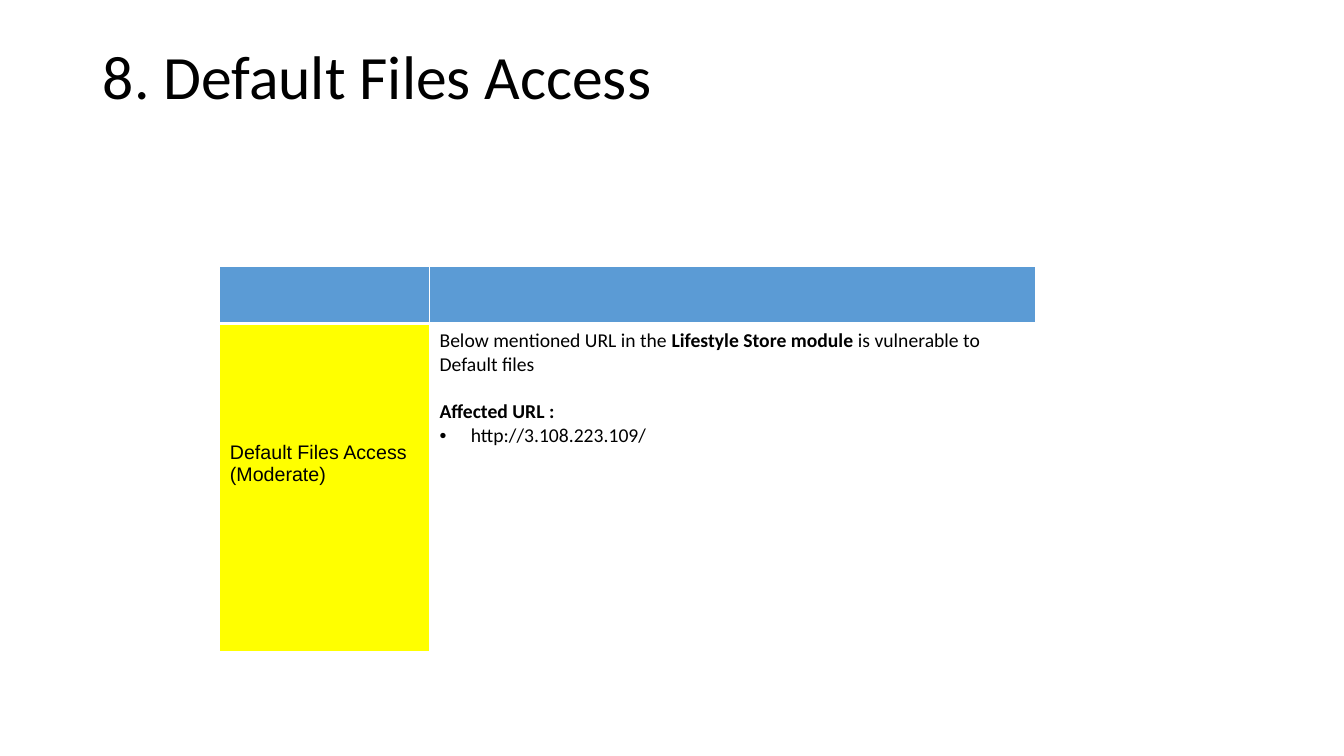
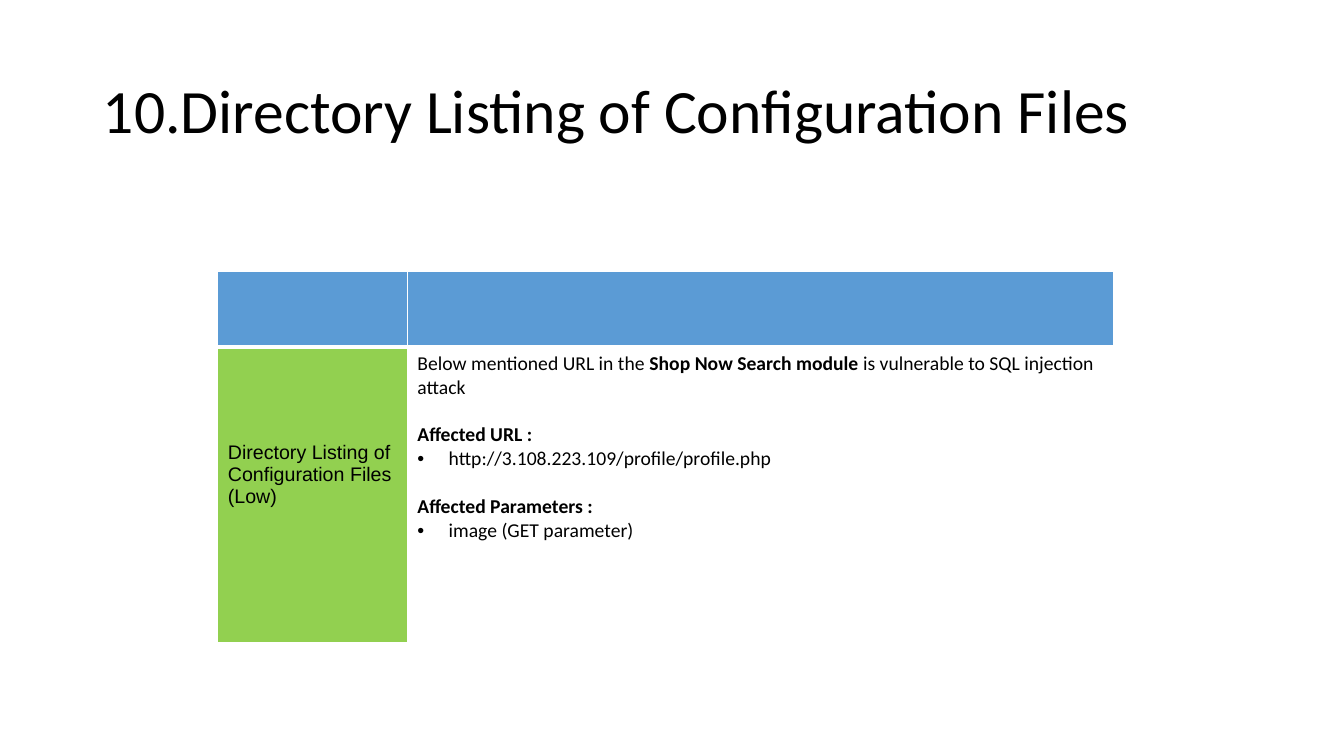
from dataclasses import dataclass

from lxml import etree
from pptx import Presentation
from pptx.dml.color import RGBColor
from pptx.enum import text
from pptx.oxml import ns
from pptx.util import Inches, Pt


@dataclass(frozen=True)
class Theme:
    """Colours, fonts and sizes shared by the slides."""
    ink: str = "000000"
    paper: str = "FFFFFF"
    header: str = "5B9BD5"
    moderate: str = "FFFF00"
    low: str = "92D050"
    body_font: str = "Calibri"
    label_font: str = "Arial"
    title_size: float = 44
    body_size: float = 14
    section_gap: float = 17
    thin: float = 1
    thick: float = 3


THEME = Theme()
TITLE_BOX = (0.92, 0.4, 11.5, 1.45)
BULLET_INDENT = 0.31

FINDINGS = [
    {
        "title": "8. Default Files Access",
        "title_bottom": 0.72,
        "origin": (2.18, 2.64),
        "columns": (2.08, 6.01),
        "rows": (0.57, 3.25),
        "label": ("Default Files Access", "(Moderate)"),
        "label_top": 1.17,
        "severity": THEME.moderate,
        "module": "Lifestyle Store module ",
        "risk": "is vulnerable to Default files",
        "sections": [("Affected URL :", "http://3.108.223.109/")],
    },
    {
        "title": "10.Directory Listing of Configuration Files",
        "title_bottom": 0.05,
        "origin": (2.16, 2.69),
        "columns": (1.88, 7.01),
        "rows": (0.75, 2.93),
        "label": ("Directory Listing of Configuration Files", "(Low)"),
        "label_top": 0.94,
        "severity": THEME.low,
        "module": "Shop Now Search module ",
        "risk": "is vulnerable to SQL injection attack",
        "sections": [
            ("Affected URL :", "http://3.108.223.109/profile/profile.php"),
            ("Affected Parameters :", "image (GET parameter)"),
        ],
    },
]


def add_run(paragraph, words, font=THEME.body_font, size=THEME.body_size, bold=False):
    """Append one formatted run to a paragraph."""
    run = paragraph.add_run()
    run.text = words
    run.font.name = font
    run.font.size = Pt(size)
    run.font.bold = bold
    run.font.color.rgb = RGBColor.from_string(THEME.ink)


def add_bullet(paragraph):
    """Give a paragraph a hanging round bullet."""
    properties = paragraph._p.get_or_add_pPr()
    properties.set("marL", str(Inches(BULLET_INDENT)))
    properties.set("indent", str(-Inches(BULLET_INDENT)))
    etree.SubElement(properties, ns.qn("a:buFont"), typeface=THEME.label_font)
    etree.SubElement(properties, ns.qn("a:buChar"), char="•")


def format_cell(cell, fill, top_width, bottom_width):
    """Set the white borders and the fill of a cell."""
    properties = cell._tc.get_or_add_tcPr()
    widths = {"L": THEME.thin, "R": THEME.thin, "T": top_width, "B": bottom_width}
    for side, width in widths.items():
        line = etree.SubElement(properties, ns.qn(f"a:ln{side}"), w=str(Pt(width)))
        solid = etree.SubElement(line, ns.qn("a:solidFill"))
        etree.SubElement(solid, ns.qn("a:srgbClr"), val=THEME.paper)
    if fill:
        cell.fill.solid()
        cell.fill.fore_color.rgb = RGBColor.from_string(fill)
    else:
        cell.fill.background()


def place_title(slide, box, words, bottom_inset):
    """Move and format the title placeholder."""
    title = slide.shapes.title
    title.left, title.top, title.width, title.height = map(Inches, box)
    frame = title.text_frame
    frame.word_wrap = True
    frame.auto_size = text.MSO_AUTO_SIZE.NONE
    frame.vertical_anchor = text.MSO_ANCHOR.MIDDLE
    frame.margin_left = frame.margin_right = Inches(0.1)
    frame.margin_top = Inches(0.05)
    frame.margin_bottom = Inches(bottom_inset)
    paragraph = frame.paragraphs[0]
    paragraph.alignment = text.PP_ALIGN.LEFT
    paragraph.line_spacing = 0.9
    add_run(paragraph, words, size=THEME.title_size)


def write_label(cell, lines, top_inset):
    """Write the finding's name and severity."""
    cell.margin_top = Inches(top_inset)
    frame = cell.text_frame
    for index, line in enumerate(lines):
        paragraph = frame.add_paragraph() if index else frame.paragraphs[0]
        add_run(paragraph, line, font=THEME.label_font)


def write_details(cell, module, risk, sections):
    """Write the summary sentence and its bulleted sections."""
    frame = cell.text_frame
    summary = frame.paragraphs[0]
    add_run(summary, "Below mentioned URL in the ")
    add_run(summary, module, bold=True)
    add_run(summary, risk)
    for heading, item in sections:
        paragraph = frame.add_paragraph()
        paragraph.space_before = Pt(THEME.section_gap)
        add_run(paragraph, heading, bold=True)
        paragraph = frame.add_paragraph()
        add_bullet(paragraph)
        add_run(paragraph, item)


def place_table(slide, finding):
    """Place the finding table at its origin."""
    columns, rows = finding["columns"], finding["rows"]
    box = (*finding["origin"], sum(columns), sum(rows))
    table = slide.shapes.add_table(len(rows), len(columns), *map(Inches, box)).table
    table.horz_banding = False
    for column, width in zip(table.columns, columns):
        column.width = Inches(width)
    for row, height in zip(table.rows, rows):
        row.height = Inches(height)
    for cell in table.rows[0].cells:
        format_cell(cell, THEME.header, THEME.thin, THEME.thick)
    label, details = table.rows[1].cells
    format_cell(label, finding["severity"], THEME.thick, THEME.thin)
    format_cell(details, None, THEME.thick, THEME.thin)
    write_label(label, finding["label"], finding["label_top"])
    write_details(details, finding["module"], finding["risk"], finding["sections"])


def add_finding_slide(presentation, finding):
    """Add one slide with a title and a finding table."""
    slide = presentation.slides.add_slide(presentation.slide_layouts[5])
    place_title(slide, TITLE_BOX, finding["title"], finding["title_bottom"])
    place_table(slide, finding)


def main():
    """Build and save the presentation."""
    presentation = Presentation()
    presentation.slide_width = Inches(13.33)
    presentation.slide_height = Inches(7.5)
    for finding in FINDINGS:
        add_finding_slide(presentation, finding)
    presentation.save("out.pptx")


if __name__ == "__main__":
    main()
